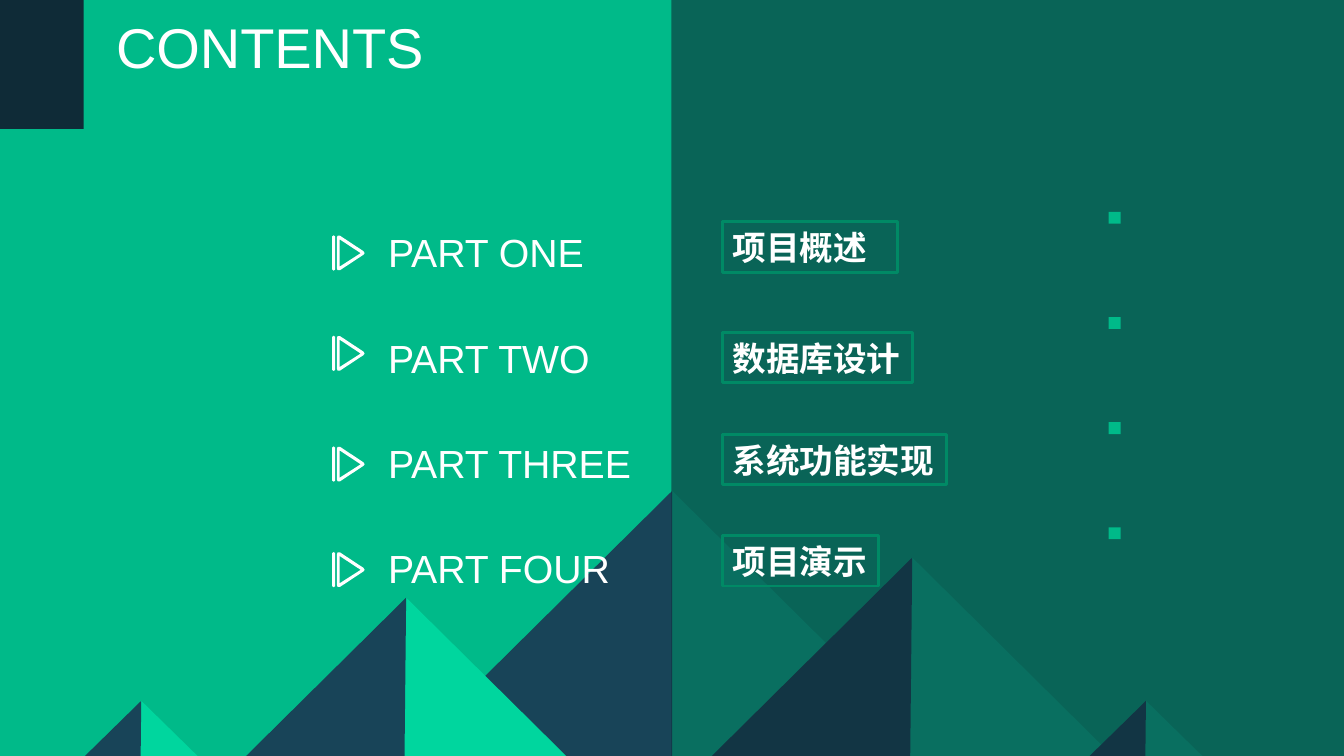
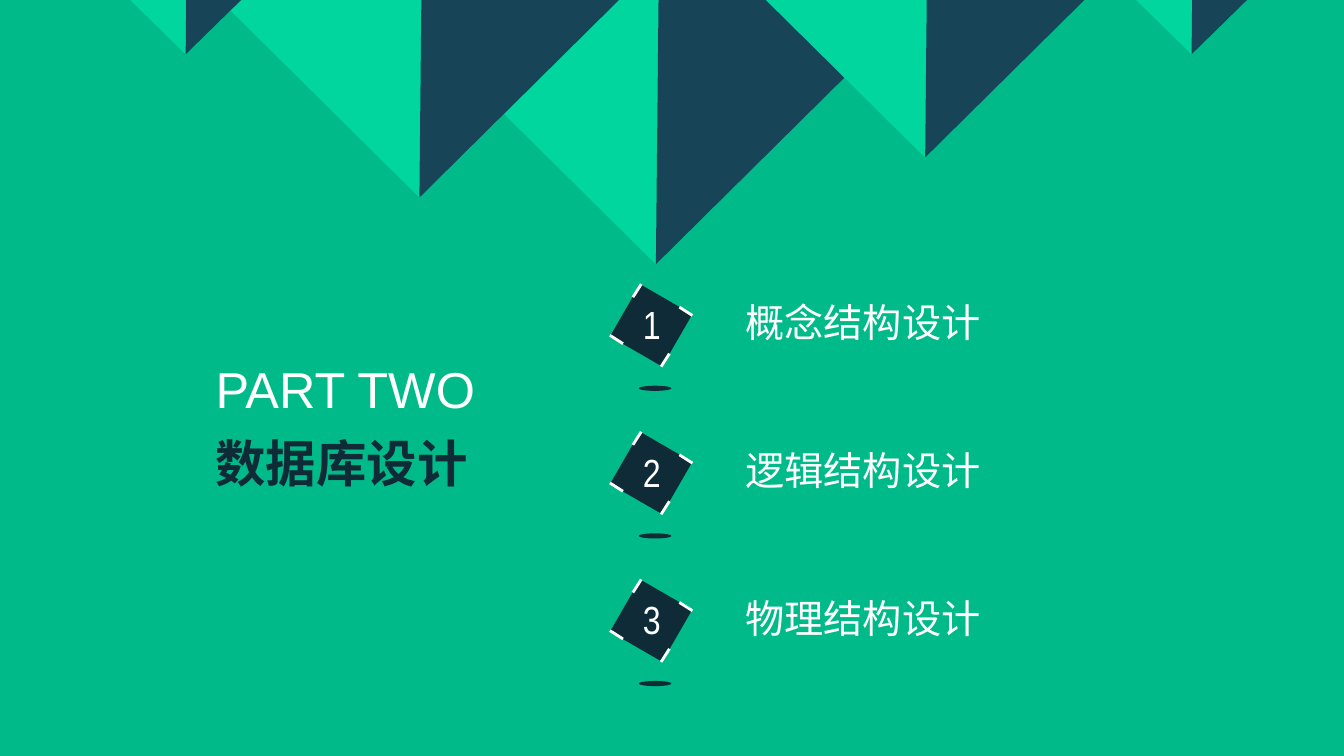
from dataclasses import dataclass

from lxml.etree import SubElement
from pptx import Presentation
from pptx.dml.color import RGBColor as RGB
from pptx.enum.shapes import MSO_CONNECTOR as CONN, MSO_SHAPE as SHAPE
from pptx.enum.text import MSO_ANCHOR as ANCHOR, MSO_AUTO_SIZE as AUTO, PP_ALIGN as ALIGN
from pptx.oxml.ns import qn
from pptx.util import Cm, Pt


@dataclass(frozen=True)
class Theme:
    green: str = "00BA89"
    mint: str = "00D69E"
    navy: str = "184458"
    ink: str = "0F2B37"
    frame: str = "008A65"
    white: str = "FFFFFF"
    font: str = "Arial"
    narrow: str = "Arial Narrow"
    cover: int = 40
    heading: int = 36
    body: int = 28
    box: int = 24
    stroke: int = 2


T = Theme()
WIDTH, HEIGHT = 33.87, 19.05


class Deck:
    def __init__(self):
        self.prs = Presentation()
        self.prs.slide_width, self.prs.slide_height = Cm(WIDTH), Cm(HEIGHT)
        fill = self.prs.slide_master.background.fill
        fill.solid()
        fill.fore_color.rgb = RGB.from_string(T.green)

    def new_slide(self, title, at, size):
        self.slide = self.prs.slides.add_slide(self.prs.slide_layouts[5])
        self.shapes = self.slide.shapes
        sp = self.shapes.title
        sp.left, sp.top, sp.width, sp.height = map(Cm, at)
        self.set_text(sp, title, size)

    def set_text(self, sp, text, size, color=T.white, bold=False, font=T.font,
                 anchor=ANCHOR.TOP):
        tf = sp.text_frame
        tf.word_wrap = True
        tf.auto_size = AUTO.NONE
        tf.vertical_anchor = anchor
        p = tf.paragraphs[0]
        p.alignment = ALIGN.LEFT
        r = p.add_run()
        r.text = text
        r.font.name, r.font.size, r.font.bold = font, Pt(size), bold
        r.font.color.rgb = RGB.from_string(color)

    def text(self, at, text, size=T.body, **style):
        self.set_text(self.shapes.add_textbox(*map(Cm, at)), text, size, **style)

    def paint(self, sp, color):
        sp.shadow.inherit = False
        sp.line.fill.background()
        sp.fill.solid()
        sp.fill.fore_color.rgb = RGB.from_string(color)

    def shape(self, kind, at, color, rotation=0, alpha=None):
        sp = self.shapes.add_shape(kind, *map(Cm, at))
        self.paint(sp, color)
        sp.rotation = rotation
        if alpha is not None:
            clr = sp._element.spPr.find(qn("a:solidFill"))[0]
            SubElement(clr, qn("a:alpha")).set("val", str(alpha * 1000))

    def framed(self, at, text):
        sp = self.shapes.add_shape(SHAPE.RECTANGLE, *map(Cm, at))
        sp.shadow.inherit = False
        sp.fill.background()
        sp.line.color.rgb = RGB.from_string(T.frame)
        sp.line.width = Pt(T.stroke)
        sp.text_frame.margin_right = 0
        self.set_text(sp, text, T.box, bold=True, anchor=ANCHOR.MIDDLE)

    def outline(self, contours, color):
        contours = [[(Cm(x), Cm(y)) for x, y in pts] for pts in contours]
        builder = self.shapes.build_freeform(*contours[0][0])
        for i, pts in enumerate(contours):
            if i:
                builder.move_to(*pts[0])
            builder.add_line_segments(pts[1:], close=True)
        self.paint(builder.convert_to_shape(), color)

    def line(self, start, end):
        cn = self.shapes.add_connector(CONN.STRAIGHT, *map(Cm, start + end))
        cn.line.color.rgb = RGB.from_string(T.white)
        cn.line.width = Pt(T.stroke)
        SubElement(cn._element.spPr, qn("a:effectLst"))

    def mountain(self, left, width, height, hanging=False, lean=0.01):
        side = 1 if hanging else -1
        base = -0.05 if hanging else HEIGHT + 0.03
        tip = base + side * height
        mid = left + width / 2
        self.shape(SHAPE.ISOSCELES_TRIANGLE, (left, min(base, tip), width, height),
                   T.mint, rotation=180 if hanging else 0)
        self.outline([[(mid, tip), (mid + side * lean * height, base),
                       (mid + side * width / 2, base)]], T.navy)

    def play_icon(self, x, y):
        bar = [(0, 0.03), (0.04, 0), (0.08, 0.03), (0.08, 0.86), (0.04, 0.89), (0, 0.86)]
        rim = [(0.12, 0.06), (0.14, 0.01), (0.2, 0.01), (0.79, 0.4), (0.82, 0.45),
               (0.79, 0.49), (0.2, 0.88), (0.14, 0.88), (0.12, 0.83)]
        hole = [(0.19, 0.1), (0.19, 0.79), (0.72, 0.45)]
        self.outline([[(x + dx, y + dy) for dx, dy in pts]
                      for pts in (bar, rim, hole)], T.white)

    def badge(self, x, y, number):
        self.shape(SHAPE.RECTANGLE, (x - 0.76, y - 0.76, 1.52, 1.52), T.ink, rotation=30)
        start, end = (0.71, -0.46), (1.04, -0.25)
        for _ in range(4):
            self.line((x + start[0], y + start[1]), (x + end[0], y + end[1]))
            start, end = [(-dy, dx) for dx, dy in (start, end)]
        self.text((x - 0.46, y - 0.76, 1.09, 1.45), str(number), font=T.narrow)
        self.shape(SHAPE.OVAL, (x - 0.31, y + 1.52, 0.82, 0.13), T.ink)


BIG, WIDE, MEDIUM, SMALL = (13.56, 6.71), (10.16, 5.03), (8.13, 4.02), (2.9, 1.42)


def contents(deck):
    deck.new_slide("CONTENTS", (2.67, 0.2, 12.5, 1.96), T.cover)
    deck.mountain(10.16, *BIG, lean=0)
    for left, size in ((6.17, MEDIUM), (17.91, WIDE), (2.11, SMALL), (27.43, SMALL)):
        deck.mountain(left, *size)
    deck.shape(SHAPE.RECTANGLE, (16.92, 0, WIDTH - 16.92, HEIGHT), T.ink, alpha=60)
    deck.shape(SHAPE.RECTANGLE, (0, 0, 2.11, 3.25), T.ink)
    parts = (
        ("PART ONE", "项目概述", 5.59, 4.42, 5.93),
        ("PART TWO", "数据库设计", 8.38, 4.78, 8.46),
        ("PART THREE", "系统功能实现", 10.95, 5.64, 11.25),
        ("PART FOUR", "项目演示", 13.5, 3.94, 13.91),
    )
    for i, (part, topic, box_top, box_width, icon_top) in enumerate(parts):
        top = 5.64 + 2.65 * i
        deck.text((9.53, top, 8.15, 1.45), part)
        deck.framed((18.21, box_top, box_width, 1.27), topic)
        deck.shape(SHAPE.RECTANGLE, (27.94, top - 0.3, 0.3, 0.3), T.green)
        deck.play_icon(8.37, icon_top)


def part_two(deck):
    deck.new_slide("PART TWO", (5.18, 8.89, 7.21, 1.8), T.heading)
    deck.text((5.18, 10.77, 7.21, 1.8), "数据库设计", T.heading, color=T.ink, bold=True)
    for left, size in ((9.75, BIG), (19.25, MEDIUM), (5.49, WIDE),
                       (28.58, SMALL), (3.23, SMALL)):
        deck.mountain(left, *size, hanging=True)
    for i, topic in enumerate(("概念结构设计", "逻辑结构设计", "物理结构设计")):
        y = 8.2 + 3.72 * i
        deck.badge(16.41, y, i + 1)
        deck.text((18.54, y - 0.8, 9.25, 1.45), topic)


def main():
    deck = Deck()
    contents(deck)
    part_two(deck)
    deck.prs.save("out.pptx")


if __name__ == "__main__":
    main()
